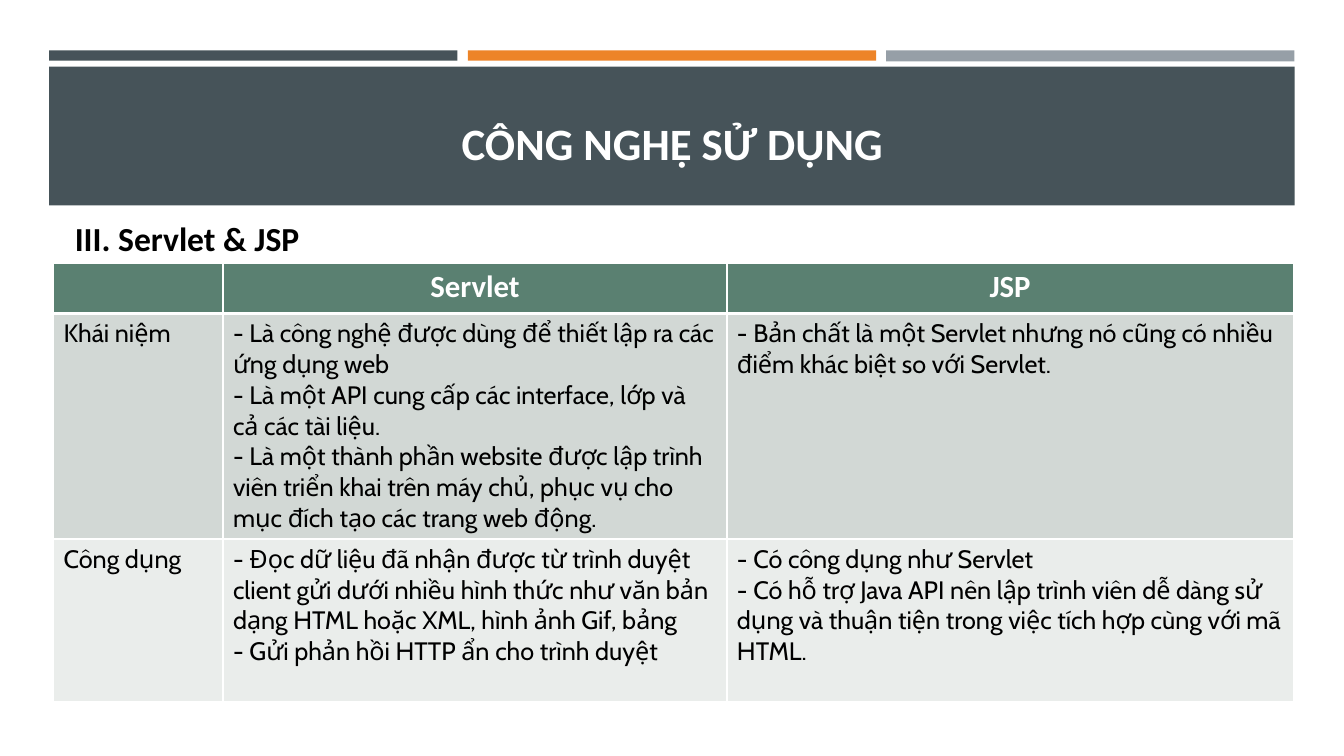
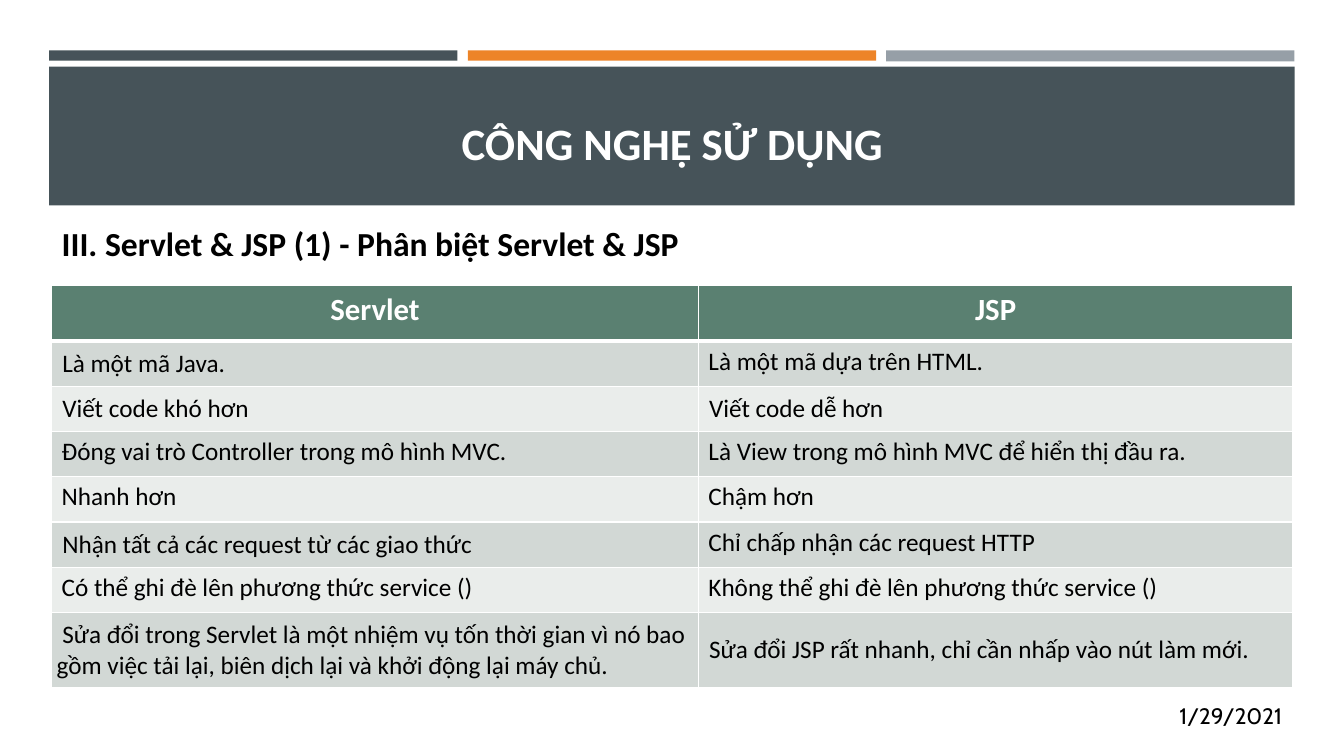
"""Build two slides that compare Servlet and JSP."""
from lxml.etree import SubElement
from pptx import Presentation
from pptx.dml.color import RGBColor
from pptx.enum.shapes import MSO_SHAPE as Preset
from pptx.enum.text import MSO_ANCHOR as Anchor, MSO_AUTO_SIZE as AutoSize, PP_ALIGN as Align
from pptx.oxml.ns import qn
from pptx.util import Cm, Pt

SLATE, ORANGE, GREY = "465359", "ED8428", "969FA7"
GREEN, DARK_ROW, LIGHT_ROW = "5A8071", "D2D8D5", "EAEDEB"
WHITE, BLACK = "FFFFFF", "000000"

BANDS = [
    (1.24, 1.27, 10.29, 0.26, SLATE),
    (11.79, 1.27, 10.29, 0.26, ORANGE),
    (22.33, 1.27, 10.29, 0.28, GREY),
    (1.24, 1.68, 31.39, 3.5, SLATE),
]

SLIDES = [
    {
        "heading": "III. Servlet & JSP",
        "heading_box": (1.63, 5.41, 30.96, 1.22),
        "table_origin": (1.35, 6.63),
        "columns": [4.27, 12.7, 14.27],
        "row_heights": [1.27, 5.67, 4.11],
        "body_font": "Cabin",
        "centred_cells": set(),
        "date": None,
        "rows": [
            ["", "Servlet", "JSP"],
            [
                "Khái niệm",
                "- Là công nghệ được dùng để thiết lập ra các ứng dụng web\n"
                "- Là một API cung cấp các interface, lớp và cả các tài liệu.\n"
                "- Là một thành phần website được lập trình viên triển khai trên máy chủ, "
                "phục vụ cho mục đích tạo các trang web động.",
                "- Bản chất là một Servlet nhưng nó cũng có nhiều điểm khác biệt so với Servlet.",
            ],
            [
                "Công dụng",
                "- Đọc dữ liệu đã nhận được từ trình duyệt client gửi dưới nhiều hình thức "
                "như văn bản dạng HTML hoặc XML, hình ảnh Gif, bảng\n"
                "- Gửi phản hồi HTTP ẩn cho trình duyệt",
                "- Có công dụng như Servlet\n"
                "- Có hỗ trợ Java API nên lập trình viên dễ dàng sử dụng và thuận tiện "
                "trong việc tích hợp cùng với mã HTML.",
            ],
        ],
    },
    {
        "heading": "III. Servlet & JSP (1) - Phân biệt Servlet & JSP",
        "heading_box": (1.3, 4.98, 30.96, 1.78),
        "table_origin": (1.3, 7.2),
        "columns": [16.3, 14.98],
        "row_heights": [1.4] + [1.14] * 6 + [1.9],
        "body_font": "Calibri",
        "centred_cells": {(1, 0), (2, 0), (2, 1), (5, 0), (7, 0), (7, 1)},
        "date": "1/29/2021",
        "rows": [
            ["Servlet", "JSP"],
            ["Là một mã Java.", "Là một mã dựa trên HTML."],
            ["Viết code khó hơn", "Viết code dễ hơn"],
            ["Đóng vai trò Controller trong mô hình MVC.",
             "Là View trong mô hình MVC để hiển thị đầu ra."],
            ["Nhanh hơn", "Chậm hơn"],
            ["Nhận tất cả các request từ các giao thức", "Chỉ chấp nhận các request HTTP"],
            ["Có thể ghi đè lên phương thức service ()",
             "Không thể ghi đè lên phương thức service ()"],
            ["Sửa đổi trong Servlet là một nhiệm vụ tốn thời gian vì nó bao gồm việc tải lại, "
             "biên dịch lại và khởi động lại máy chủ.",
             "Sửa đổi JSP rất nhanh, chỉ cần nhấp vào nút làm mới."],
        ],
    },
]


def color(hex_code):
    return RGBColor.from_string(hex_code)


def set_font(paragraph, name, size, hex_code, bold=False):
    paragraph.font.name = name
    paragraph.font.size = Pt(size)
    paragraph.font.bold = bold
    paragraph.font.color.rgb = color(hex_code)


presentation = Presentation()
presentation.slide_width = Cm(33.87)
presentation.slide_height = Cm(19.05)
layout = presentation.slide_layouts[1]

layout_title = layout.placeholders[0]
layout_title.left, layout_title.top = Cm(1.63), Cm(2.03)
layout_title.width, layout_title.height = Cm(30.63), Cm(2.36)

for number, content in enumerate(SLIDES):
    slide = presentation.slides.add_slide(layout)

    if number == 0:
        for index, (left, top, width, height, fill) in enumerate(BANDS):
            band = slide.shapes.add_shape(
                Preset.RECTANGLE, Cm(left), Cm(top), Cm(width), Cm(height))
            band.shadow.inherit = False
            band.fill.solid()
            band.fill.fore_color.rgb = color(fill)
            band.line.fill.background()
            band.element.xpath("p:nvSpPr/p:cNvPr")[0].set("id", str(20 + index))
            layout.shapes.element.insert(2 + index, band.element)

    title = slide.shapes.title
    title.text = "CÔNG NGHỆ SỬ DỤNG"
    title.text_frame.vertical_anchor = Anchor.BOTTOM
    title.text_frame.auto_size = AutoSize.NONE
    title.text_frame.paragraphs[0].alignment = Align.CENTER
    set_font(title.text_frame.paragraphs[0], "Calibri", 32, WHITE, bold=True)

    heading = slide.placeholders[1]
    heading.left, heading.top, heading.width, heading.height = map(Cm, content["heading_box"])
    heading.text = content["heading"]
    heading.text_frame.vertical_anchor = Anchor.BOTTOM
    heading.text_frame.auto_size = AutoSize.NONE
    paragraph = heading.text_frame.paragraphs[0]
    paragraph.space_before = Pt(0)
    properties = paragraph._p.get_or_add_pPr()
    properties.set("marL", "0")
    properties.set("indent", "0")
    SubElement(properties, qn("a:buNone"))
    set_font(paragraph, "Calibri", 24, BLACK, bold=True)

    rows, columns, row_heights = content["rows"], content["columns"], content["row_heights"]
    left, top = content["table_origin"]
    table = slide.shapes.add_table(
        len(rows), len(columns), Cm(left), Cm(top),
        Cm(sum(columns)), Cm(sum(row_heights))).table
    for column, width in zip(table.columns, columns):
        column.width = Cm(width)

    for row_index, texts in enumerate(rows):
        table.rows[row_index].height = Cm(row_heights[row_index])
        is_header = row_index == 0
        fill = GREEN if is_header else DARK_ROW if row_index % 2 else LIGHT_ROW
        for column_index, text in enumerate(texts):
            cell = table.cell(row_index, column_index)
            cell_properties = cell._tc.get_or_add_tcPr()
            for side in ("lnL", "lnR", "lnT", "lnB"):
                thick = (row_index, side) in ((0, "lnB"), (1, "lnT"))
                line = SubElement(cell_properties, qn(f"a:{side}"), w=str(Pt(3 if thick else 1)))
                line_fill = SubElement(line, qn("a:solidFill"))
                SubElement(line_fill, qn("a:srgbClr"), val=WHITE)
            cell.fill.solid()
            cell.fill.fore_color.rgb = color(fill)

            cell.text = text
            is_centred = (row_index, column_index) in content["centred_cells"]
            if is_centred:
                cell.vertical_anchor = Anchor.MIDDLE
                cell.margin_left = Cm(0.13)
                cell.margin_top = cell.margin_bottom = Cm(0.1)
            for paragraph in cell.text_frame.paragraphs:
                if is_centred:
                    paragraph._p.get_or_add_pPr().set("indent", str(Cm(0.14)))
                if is_header:
                    paragraph.alignment = Align.CENTER
                    set_font(paragraph, "Calibri", 22, WHITE, bold=True)
                else:
                    set_font(paragraph, content["body_font"], 18, BLACK)

    if content["date"]:
        date_box = slide.shapes.add_textbox(Cm(24.66), Cm(17.53), Cm(7.9), Cm(1.02))
        date_frame = date_box.text_frame
        date_frame.word_wrap = True
        date_frame.vertical_anchor = Anchor.MIDDLE
        date_frame.text = content["date"]
        date_frame.paragraphs[0].alignment = Align.RIGHT
        set_font(date_frame.paragraphs[0], "Cabin", 16, BLACK)

presentation.save("out.pptx")
